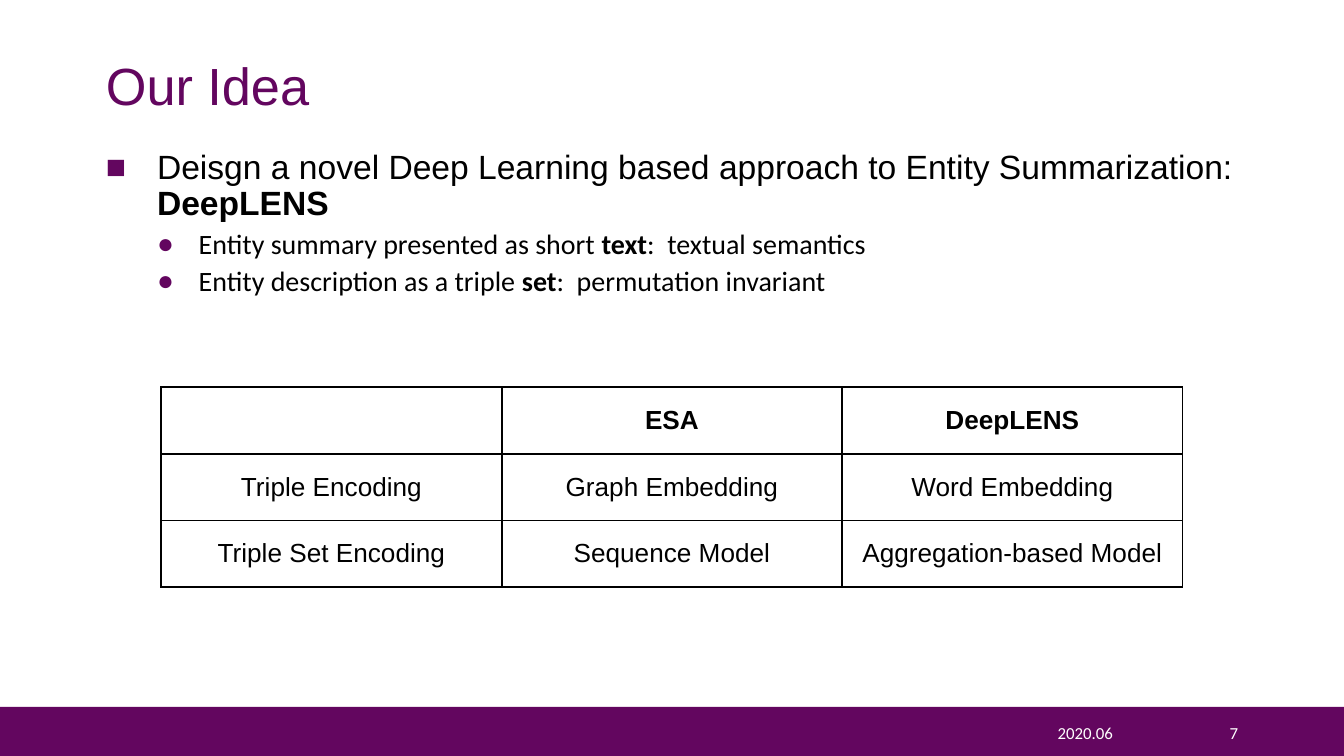
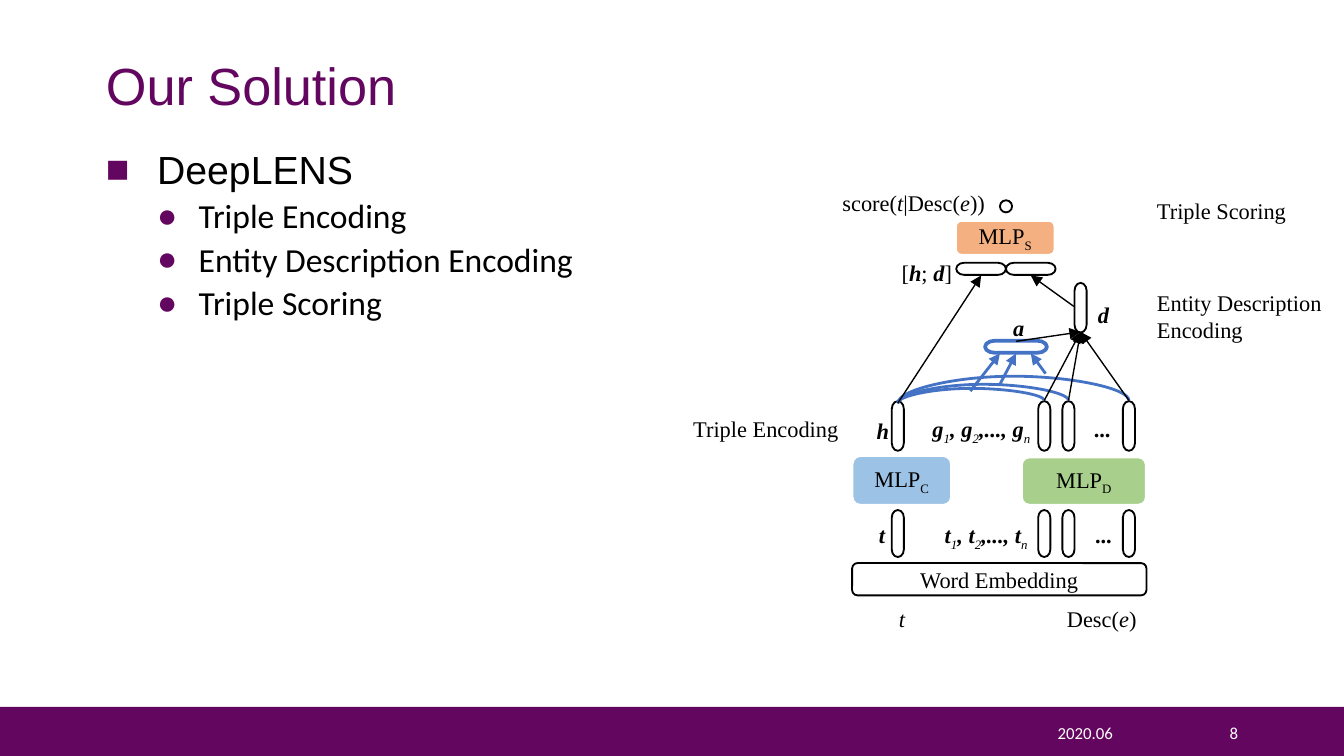
from lxml import etree
from pptx import Presentation
from pptx.dml.color import RGBColor
from pptx.enum.shapes import MSO_CONNECTOR as Link, MSO_SHAPE as Preset
from pptx.enum.text import MSO_ANCHOR as Anchor, PP_ALIGN as Align
from pptx.oxml.ns import qn
from pptx.util import Inches, Pt

PURPLE = RGBColor(0x63, 0x06, 0x5F)
BLACK = RGBColor(0, 0, 0)
WHITE = RGBColor(0xFF, 0xFF, 0xFF)
BLUE = RGBColor(0x44, 0x72, 0xC4)
SKY = RGBColor(0x9C, 0xC2, 0xE5)
ORANGE = RGBColor(0xF4, 0xB0, 0x81)
GREEN = RGBColor(0xA8, 0xD0, 0x8C)
HEAD, TEXT, MATH = "Arial", "Calibri", "Times New Roman"

# Content: a span is (text, flags) with b = bold, i = italic, _ = subscript
IDEA = [
    (0, [("Deisgn a novel Deep Learning based approach to Entity Summarization: ", ""),
         ("DeepLENS", "b")]),
    (1, [("Entity summary presented as short ", ""), ("text", "b"),
         (":  textual semantics", "")]),
    (1, [("Entity description as a triple ", ""), ("set", "b"),
         (":  permutation invariant", "")]),
]
COMPARISON = [
    ["", "ESA", "DeepLENS"],
    ["Triple Encoding", "Graph Embedding", "Word Embedding"],
    ["Triple Set Encoding", "Sequence Model", "Aggregation-based Model"],
]
SOLUTION = [
    (0, [("DeepLENS", "")]),
    (1, [("Triple Encoding", "")]),
    (1, [("Entity Description Encoding", "")]),
    (1, [("Triple Scoring", "")]),
]


def series(name):
    return [(name, "bi"), ("1", "i_"), (f", {name}", "bi"), ("2", "i_"),
            (f",..., {name}", "bi"), ("n", "i_")]


# Blocks: left, top, width, height, fill, line colour, line width, spans
BLOCKS = [
    (6.34, 3.39, 0.74, 0.37, SKY, WHITE, 1.5, [("MLP", ""), ("C", "_")]),
    (7.11, 1.64, 0.74, 0.26, ORANGE, WHITE, 1.5, [("MLP", ""), ("S", "_")]),
    (7.6, 3.4, 0.93, 0.36, GREEN, WHITE, 1.5, [("MLP", ""), ("D", "_")]),
    (6.34, 4.19, 2.19, 0.24, WHITE, BLACK, 1, [("Word Embedding", "")]),
]
# Labels: left, top, width, lines of spans
LABELS = [
    (8.07, 2.19, 0.29, [[("d", "bi")]]),
    (6.61, 1.88, 0.58, [[("[", ""), ("h", "bi"), ("; ", ""), ("d", "bi"), ("]", "")]]),
    (6.17, 1.36, 1.27, [[("score(", ""), ("t", "i"), ("|Desc(", ""), ("e", "i"),
                         ("))", "")]]),
    (6.59, 4.45, 0.25, [[("t", "i")]]),
    (7.84, 4.45, 0.73, [[("Desc(", ""), ("e", "i"), (")", "")]]),
    (7.44, 2.29, 0.29, [[("a", "bi")]]),
    (8.04, 3.04, 0.33, [[("...", "b")]]),
    (8.05, 3.83, 0.33, [[("...", "b")]]),
    (6.44, 3.83, 0.25, [[("t", "bi")]]),
    (6.84, 3.04, 0.96, [series("g")]),
    (6.93, 3.83, 0.85, [series("t")]),
    (5.06, 3.04, 1.3, [[("Triple Encoding", "")]]),
    (8.51, 1.42, 1.18, [[("Triple Scoring", "")]]),
    (8.51, 2.1, 1.49, [[("Entity Description", "")], [("Encoding", "")]]),
]
# Vectors: the triple h, then the described triples g1, g2, gn
H_X, G_XS = 6.68, [7.77, 7.95, 8.4]
H_TOP, G_TOP = 3.0, 2.98
ARC_RISES = [0.11, 0.14, 0.2]
D_TOP = (8.04, 2.47)
ATTENTION_ARROWS = [((7.22, 2.91), (7.44, 2.63)), ((7.44, 2.86), (7.56, 2.63)),
                    ((7.78, 2.78), (7.67, 2.63))]
FLOW_ARROWS = [((x, G_TOP), D_TOP) for x in G_XS] + [
    ((7.56, 2.54), D_TOP), ((7.99, 2.28), (7.67, 2.05)), ((H_X, H_TOP), (7.3, 2.05))]


# Text
def add_spans(para, spans, font, size, color):
    for text, flags in spans:
        span = para.add_run()
        span.text = text
        span.font.name, span.font.size = font, Pt(size)
        span.font.color.rgb = color
        span.font.bold, span.font.italic = "b" in flags, "i" in flags
        if "_" in flags:
            span._r.get_or_add_rPr().set("baseline", "-25000")


def add_text(page, place, lines, font, size, color, align=Align.LEFT,
             anchor=Anchor.TOP, wrap=True):
    box = page.shapes.add_textbox(*map(Inches, place))
    frame = box.text_frame
    frame.word_wrap, frame.vertical_anchor = wrap, anchor
    for index, spans in enumerate(lines):
        para = frame.add_paragraph() if index else frame.paragraphs[0]
        para.alignment = align
        add_spans(para, spans, font, size, color)
    return frame


def add_bullet(para, level):
    left, hang, mark = [(0.38, 0.38, "■"), (0.69, 0.31, "●")][level]
    para.level = level
    para.line_spacing = 0.9
    para.space_before = Pt(3.8 * level)
    props = para._p.get_or_add_pPr()
    props.set("marL", str(Inches(left)))
    props.set("indent", str(-Inches(hang)))
    tint = etree.SubElement(props, qn("a:buClr"))
    etree.SubElement(tint, qn("a:srgbClr"), val=str(PURPLE))
    etree.SubElement(props, qn("a:buFont"), typeface=HEAD)
    etree.SubElement(props, qn("a:buChar"), char=mark)


# Shapes and lines
def add_shape(page, preset, place, fill=None, line=None, width=1):
    shape = page.shapes.add_shape(preset, *map(Inches, place))
    shape.shadow.inherit = False
    if fill is None:
        shape.fill.background()
    else:
        shape.fill.solid()
        shape.fill.fore_color.rgb = fill
    if line is None:
        shape.line.fill.background()
    else:
        shape.line.color.rgb, shape.line.width = line, Pt(width)
    return shape


def add_capsule(page, center, length, upright=True, line=BLACK, width=1):
    x, y = center
    capsule = add_shape(page, Preset.FLOWCHART_TERMINATOR,
                        (x - length / 2, y - 0.045, length, 0.09), WHITE, line, width)
    capsule.rotation = 90 if upright else 0


def add_link(page, kind, start, end, color, width):
    link = page.shapes.add_connector(kind, *map(Inches, start + end))
    link.line.color.rgb, link.line.width = color, Pt(width)
    etree.SubElement(link._element.spPr, qn("a:effectLst"))
    return link


def add_arrow(page, start, end, color, width):
    arrow = add_link(page, Link.STRAIGHT, start, end, color, width)
    etree.SubElement(arrow.line._get_or_add_ln(), qn("a:tailEnd"), type="triangle")


def add_arc(page, end_x, rise):
    """Curve from h to one g, laid out upright and turned by 270 degrees."""
    drop, span = H_TOP - G_TOP, end_x - H_X
    x, y = (H_X + end_x) / 2, (H_TOP + G_TOP) / 2
    arc = add_link(page, Link.CURVE, (x - drop / 2, y - span / 2),
                   (x + drop / 2, y + span / 2), BLUE, 1.5)
    props = arc._element.spPr
    props.find(qn("a:xfrm")).set("rot", str(270 * 60000))
    geometry = props.find(qn("a:prstGeom"))
    guides = geometry.find(qn("a:avLst"))
    if guides is None:
        guides = etree.SubElement(geometry, qn("a:avLst"))
    etree.SubElement(guides, qn("a:gd"), name="adj1",
                     fmla=f"val {round(rise / drop * 100000)}")


# Shared page: band, bullets, footer, title
def add_page(deck, number, title, bullets, sizes):
    page = deck.slides.add_slide(deck.slide_layouts[6])
    add_shape(page, Preset.RECTANGLE, (0, 5.26, 10, 0.37), PURPLE)
    frame = add_text(page, (0.69, 1.07, 8.62, 3.97), [], HEAD, sizes[0], BLACK)
    for index, (level, spans) in enumerate(bullets):
        para = frame.add_paragraph() if index else frame.paragraphs[0]
        add_bullet(para, level)
        add_spans(para, spans, (HEAD, TEXT)[level], sizes[level], BLACK)
    for left, width, text, align in [(7.39, 1.37, "2020.06", Align.CENTER),
                                     (8.76, 0.55, str(number), Align.RIGHT)]:
        add_text(page, (left, 5.3, width, 0.3), [[(text, "")]], TEXT, 9, WHITE,
                 align, Anchor.MIDDLE)
    heading = add_text(page, (0.69, 0.39, 8.62, 0.54), [[(title, "")]], HEAD, 28,
                       PURPLE, anchor=Anchor.MIDDLE)
    heading.paragraphs[0].line_spacing = 0.9
    return page


def add_borders(cell):
    props = cell._tc.get_or_add_tcPr()
    for index, side in enumerate(["lnL", "lnR", "lnT", "lnB"]):
        edge = etree.Element(qn(f"a:{side}"), w=str(Pt(1)))
        fill = etree.SubElement(edge, qn("a:solidFill"))
        etree.SubElement(fill, qn("a:srgbClr"), val=str(BLACK))
        props.insert(index, edge)


def add_comparison(page):
    rows, columns = len(COMPARISON), len(COMPARISON[0])
    place = map(Inches, (1.2, 2.88, 7.6, 1.49))
    table = page.shapes.add_table(rows, columns, *place).table
    for r, row in enumerate(COMPARISON):
        for c, text in enumerate(row):
            cell = table.cell(r, c)
            cell.fill.background()
            cell.vertical_anchor = Anchor.MIDDLE
            add_borders(cell)
            if text:
                para = cell.text_frame.paragraphs[0]
                para.alignment = Align.CENTER
                add_spans(para, [(text, "" if r else "b")], HEAD, 14, BLACK)


def add_network(page):
    # Layers
    for *place, fill, line, width, spans in BLOCKS:
        block = add_shape(page, Preset.ROUNDED_RECTANGLE, place, fill, line, width)
        block.text_frame.vertical_anchor = Anchor.MIDDLE
        block.text_frame.word_wrap = False
        para = block.text_frame.paragraphs[0]
        para.alignment = Align.CENTER
        add_spans(para, spans, MATH, 12, BLACK)
    h_label = add_shape(page, Preset.FLOWCHART_TERMINATOR, (6.41, 2.99, 0.32, 0.43))
    h_label.text_frame.vertical_anchor = Anchor.TOP
    h_label.text_frame.word_wrap = False
    para = h_label.text_frame.paragraphs[0]
    para.alignment = Align.LEFT
    add_spans(para, [("h", "bi")], MATH, 12, BLACK)

    # Vectors
    for y, length in [(3.97, 0.35), (3.17, 0.37)]:
        for x in [H_X] + G_XS:
            add_capsule(page, (x, y), length)
    add_capsule(page, (8.04, 2.29), 0.37)
    add_capsule(page, (7.56, 2.58), 0.46, False, BLUE, 2)

    # Attention arcs and flow
    for x, rise in zip(G_XS, ARC_RISES):
        add_arc(page, x, rise)
    for start, end in ATTENTION_ARROWS:
        add_arrow(page, start, end, BLUE, 1.5)
    for start, end in FLOW_ARROWS:
        add_arrow(page, start, end, BLACK, 0.75)

    # Joined vector and score
    for x in (7.3, 7.67):
        add_capsule(page, (x, 2), 0.37, False)
    add_shape(page, Preset.FLOWCHART_CONNECTOR, (7.44, 1.49, 0.09, 0.09), WHITE, BLACK)
    for left, top, width, lines in LABELS:
        add_text(page, (left, top, width, 0.1 + 0.2 * len(lines)), lines, MATH, 12,
                 BLACK, wrap=False)


def main():
    deck = Presentation()
    deck.slide_width = Inches(10)
    deck.slide_height = deck.slide_width * 9 // 16
    add_comparison(add_page(deck, 7, "Our Idea", IDEA, (18, 15)))
    add_network(add_page(deck, 8, "Our Solution", SOLUTION, (21, 18)))
    deck.save("out.pptx")


if __name__ == "__main__":
    main()
